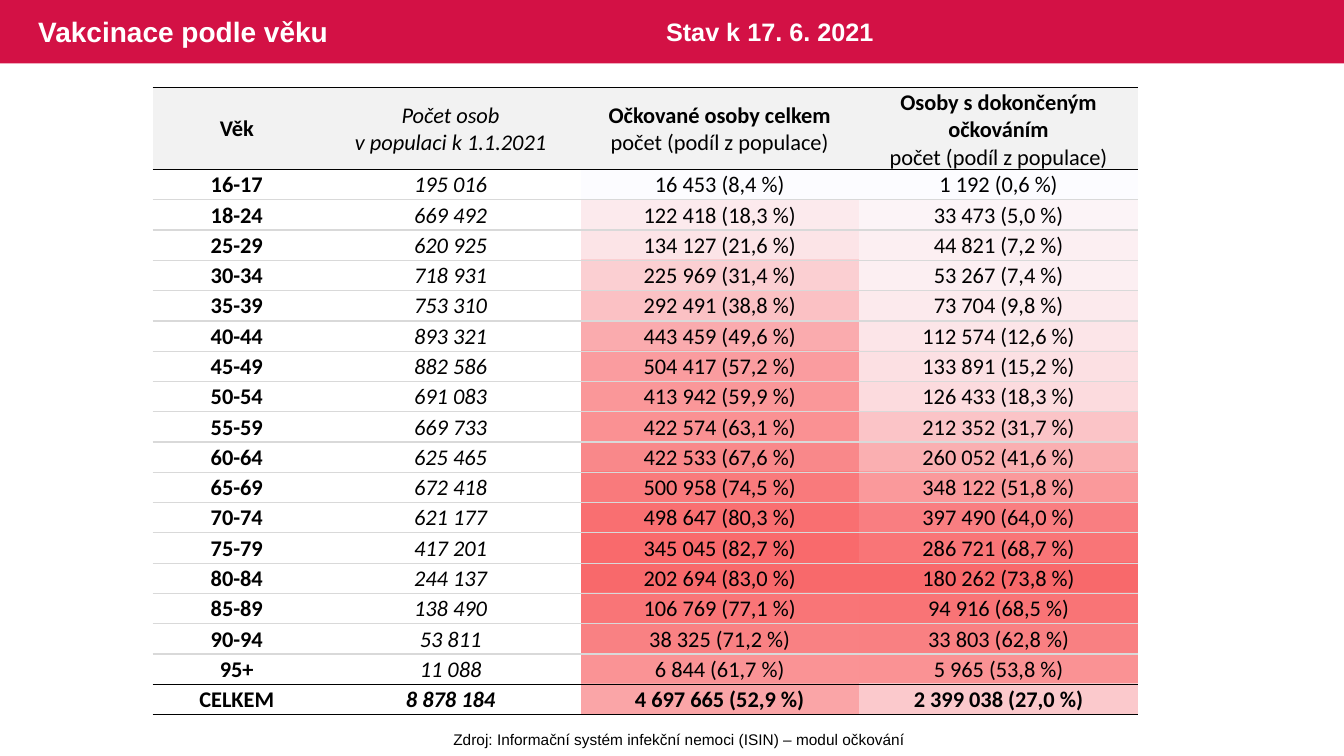
"""Build a slide with COVID vaccination counts by age group."""
import lxml.etree
import pptx
import pptx.dml.color
import pptx.enum.shapes
import pptx.enum.text
import pptx.oxml.ns
import pptx.util

Pt = pptx.util.Pt
qn = pptx.oxml.ns.qn
CENTER = pptx.enum.text.PP_ALIGN.CENTER
MIDDLE = pptx.enum.text.MSO_ANCHOR.MIDDLE
BLACK, GRAY, WHITE = "000000", "D9D9D9", "FFFFFF"
ROW_HEIGHT = 21.64
HEADER_HEIGHT = 57.6
TABLE_TOP = 62.8
NO_STYLE = "{2D5ABB26-0587-4C30-8999-92F81FD0307C}"


def color(value):
    return pptx.dml.color.RGBColor.from_string(value)


def add_plain_table(left, top, widths, heights):
    frame = slide.shapes.add_table(len(heights), len(widths), Pt(left), Pt(top),
                                   Pt(sum(widths)), Pt(sum(heights)))
    table = frame.table
    table.first_row = table.horz_banding = False
    table._tbl.tblPr.find(qn("a:tableStyleId")).text = NO_STYLE
    for column, width in zip(table.columns, widths):
        column.width = Pt(width)
    for row, height in zip(table.rows, heights):
        row.height = Pt(height)
    for cell in table.iter_cells():
        cell.margin_left = cell.margin_right = cell.margin_top = Pt(0.72)
        cell.margin_bottom = Pt(0)
        cell.vertical_anchor = MIDDLE
    return table


header = ["Věk", "Počet osob\nv populaci k 1.1.2021",
          "Očkované osoby celkem\npočet (podíl z populace)",
          "Osoby s dokončeným očkováním\npočet (podíl z populace)"]
age_rows = [
    ("16-17", "195 016", "16 453 (8,4 %)", "1 192 (0,6 %)", "FCFCFF", "FCFCFF"),
    ("18-24", "669 492", "122 418 (18,3 %)", "33 473 (5,0 %)", "FCEAED", "FCF4F7"),
    ("25-29", "620 925", "134 127 (21,6 %)", "44 821 (7,2 %)", "FCE4E7", "FCEFF2"),
    ("30-34", "718 931", "225 969 (31,4 %)", "53 267 (7,4 %)", "FBCFD2", "FCEFF2"),
    ("35-39", "753 310", "292 491 (38,8 %)", "73 704 (9,8 %)", "FBC1C4", "FCEAED"),
    ("40-44", "893 321", "443 459 (49,6 %)", "112 574 (12,6 %)", "FAABAE", "FCE5E8"),
    ("45-49", "882 586", "504 417 (57,2 %)", "133 891 (15,2 %)", "FA9C9F", "FCE0E3"),
    ("50-54", "691 083", "413 942 (59,9 %)", "126 433 (18,3 %)", "FA9799", "FCDBDE"),
    ("55-59", "669 733", "422 574 (63,1 %)", "212 352 (31,7 %)", "FA9193", "FBC4C7"),
    ("60-64", "625 465", "422 533 (67,6 %)", "260 052 (41,6 %)", "F9888A", "FAAFB1"),
    ("65-69", "672 418", "500 958 (74,5 %)", "348 122 (51,8 %)", "F97A7C", "FA999B"),
    ("70-74", "621 177", "498 647 (80,3 %)", "397 490 (64,0 %)", "F96F71", "F97E81"),
    ("75-79", "417 201", "345 045 (82,7 %)", "286 721 (68,7 %)", "F96A6C", "F97577"),
    ("80-84", "244 137", "202 694 (83,0 %)", "180 262 (73,8 %)", "F8696B", "F8696B"),
    ("85-89", "138 490", "106 769 (77,1 %)", "94 916 (68,5 %)", "F97577", "F97476"),
    ("90-94", "53 811", "38 325 (71,2 %)", "33 803 (62,8 %)", "F98183", "F98082"),
    ("95+", "11 088", "6 844 (61,7 %)", "5 965 (53,8 %)", "FA9395", "FA9294"),
    ("CELKEM", "8 878 184", "4 697 665 (52,9 %)", "2 399 038 (27,0 %)", "FAA5A7", "FBC9CC"),
]

deck = pptx.Presentation()
deck.slide_width, deck.slide_height = Pt(960), Pt(540)
slide = deck.slides.add_slide(deck.slide_layouts[6])

banner = slide.shapes.add_shape(pptx.enum.shapes.MSO_SHAPE.RECTANGLE,
                                Pt(0), Pt(0), Pt(960), Pt(45.2))
banner.shadow.inherit = False
banner.fill.solid()
banner.fill.fore_color.rgb = color("D31145")
banner.line.fill.background()

heat_table = add_plain_table(414.8, TABLE_TOP + HEADER_HEIGHT, [199, 199],
                             [ROW_HEIGHT] * len(age_rows))
for r, age_row in enumerate(age_rows):
    for c, shade in enumerate(age_row[4:]):
        cell = heat_table.cell(r, c)
        cell.fill.solid()
        cell.fill.fore_color.rgb = color(shade)
        para = cell.text_frame.paragraphs[0]
        lxml.etree.SubElement(para._p, qn("a:endParaRPr"), sz="1200")

captions = [
    ("Vakcinace podle věku", 20.2, 0, 585, 45.2, 20, WHITE, True),
    ("Stav k 17. 6. 2021", 468.7, 7.9, 213, 29, 18, WHITE, True),
    ("Zdroj: Informační systém infekční nemoci (ISIN) – modul očkování",
     316, 517.7, 338.4, 20.6, 11, BLACK, False),
]
for text, left, top, width, height, size, ink, bold in captions:
    box = slide.shapes.add_textbox(Pt(left), Pt(top), Pt(width), Pt(height))
    box.text_frame.text = text
    box.text_frame.word_wrap = bold
    box.text_frame.vertical_anchor = MIDDLE
    para = box.text_frame.paragraphs[0]
    if not bold:
        para.alignment = CENTER
    font = para.runs[0].font
    font.name, font.size, font.bold = "Arial", Pt(size), bold
    font.color.rgb = color(ink)

rows = [header] + [age_row[:4] for age_row in age_rows]
last = len(rows) - 1
black_edges = {0, 1, last, last + 1}
age_table = add_plain_table(109, TABLE_TOP, [120.3, 185.2, 199.2, 199.2],
                            [HEADER_HEIGHT] + [ROW_HEIGHT] * last)
for r, row in enumerate(rows):
    for c, text in enumerate(row):
        cell = age_table.cell(r, c)
        properties = cell._tc.get_or_add_tcPr()
        for tag, edge in (("a:lnT", r), ("a:lnB", r + 1)):
            line = lxml.etree.SubElement(properties, qn(tag), w=str(Pt(1)))
            fill = lxml.etree.SubElement(line, qn("a:solidFill"))
            lxml.etree.SubElement(fill, qn("a:srgbClr"),
                                  val=BLACK if edge in black_edges else GRAY)
        if r == 0:
            cell.fill.solid()
            cell.fill.fore_color.rgb = color("F2F2F2")
        else:
            cell.fill.background()
        cell.text_frame.text = text
        for p, para in enumerate(cell.text_frame.paragraphs):
            para.alignment = CENTER
            font = para.runs[0].font
            font.name, font.size = "Calibri", Pt(16)
            font.color.rgb = color(BLACK)
            font.bold = c == 0 or r == last or (r == 0 and c > 1 and p == 0)
            font.italic = c == 1

deck.save("out.pptx")
